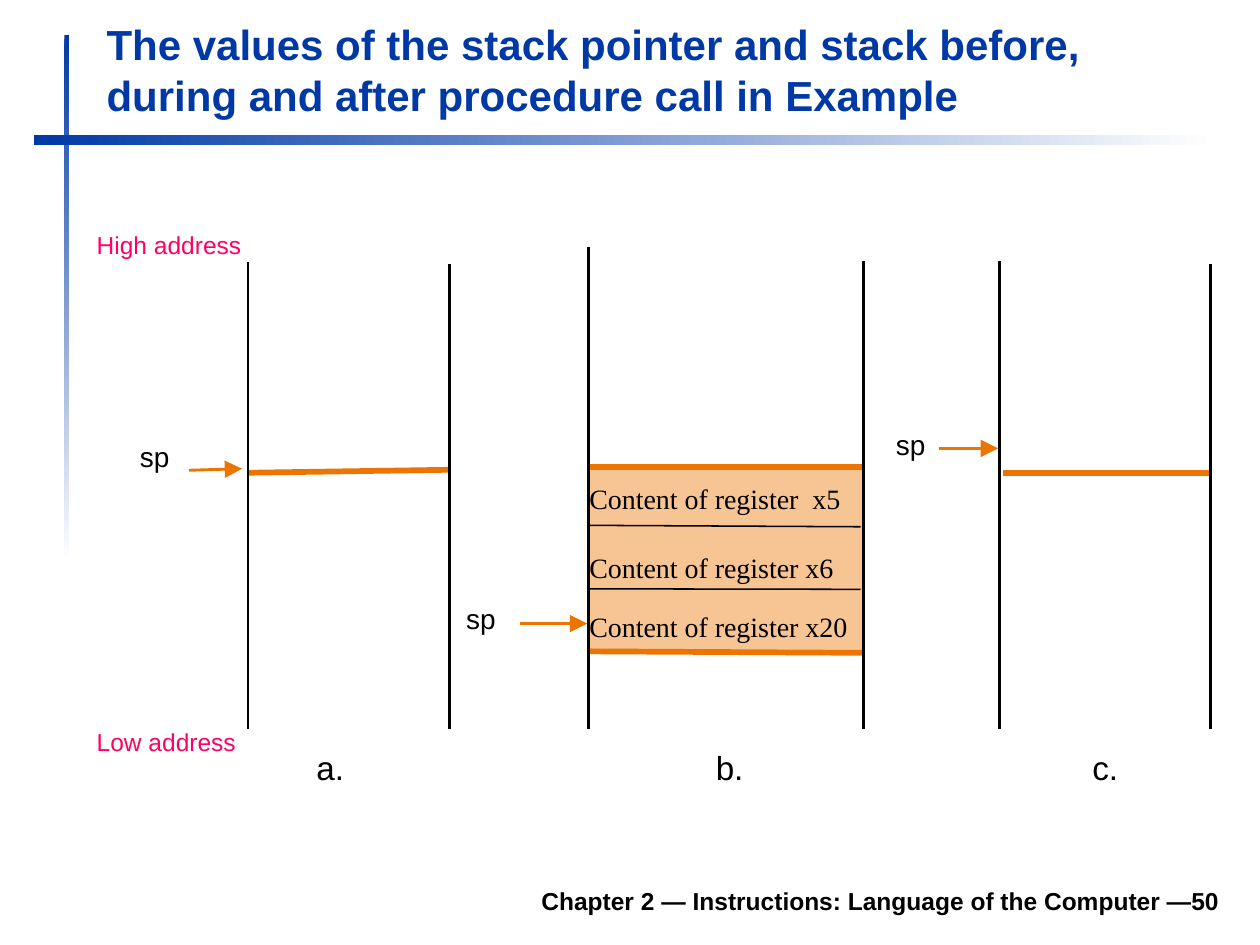
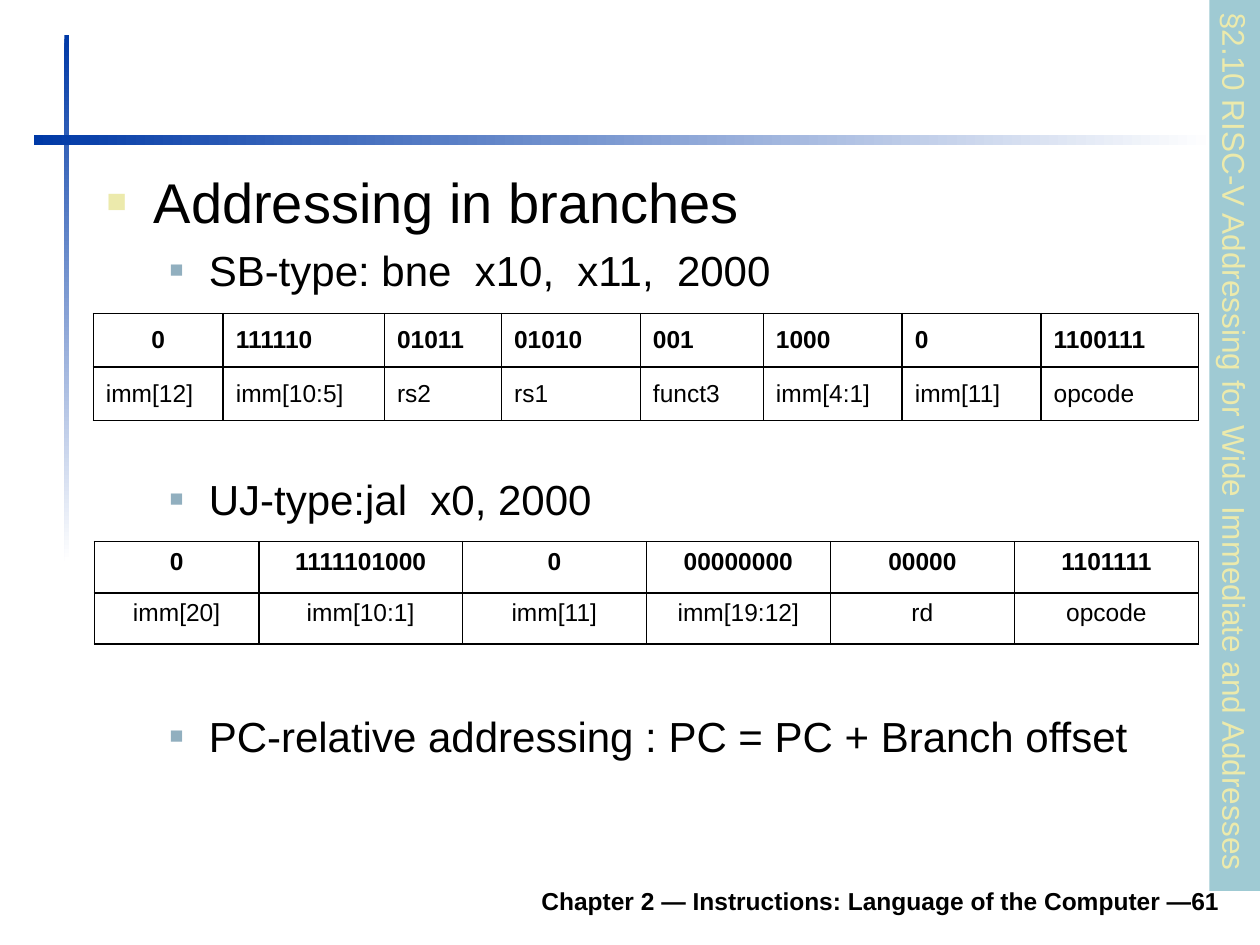
"""Build two slides: stack states around a call, and branch address formats."""
from dataclasses import dataclass

from lxml.etree import SubElement
from pptx import Presentation
from pptx.dml.color import RGBColor
from pptx.enum.shapes import MSO_CONNECTOR, MSO_SHAPE
from pptx.enum.text import MSO_ANCHOR, PP_ALIGN
from pptx.oxml.ns import qn
from pptx.util import Cm, Pt


@dataclass(frozen=True)
class Theme:
    sans: str = "Arial"
    serif: str = "Times New Roman"
    blue: str = "0039A6"
    white: str = "FFFFFF"
    black: str = "000000"
    orange: str = "EB7500"
    peach: str = "F7C594"
    pink: str = "FF0066"
    teal: str = "9FCAD3"
    cream: str = "ECEAAC"
    steel: str = "91AFBF"
    head: float = 32
    title: float = 24
    caption: float = 19
    side: float = 18
    label: float = 16
    small: float = 14
    thick: float = 3.25
    wall: float = 1.63
    thin: float = 0.88


T = Theme()

FOOTER = "Chapter 2 — Instructions: Language of the Computer —"
TITLE = ("The values of the stack pointer and stack before, "
         "during and after procedure call in Example")
BARS = [((1.3, 0.71, 0.1, 10.6), 270), ((0.69, 2.72, 23.8, 0.2), 0)]

FRAME = (11.86, 9.42, 5.54, 3.75)
WALLS = [(5, 5.28), (9.07, 5.33), (11.86, 4.98),
         (17.41, 5.26), (20.14, 5.26), (24.41, 5.33)]
FLOOR = 14.7
MARKS = [(5, 9.53, 9.07, 9.47), (11.86, 9.42, 17.4, 9.42),
         (11.86, 13.13, 17.4, 13.16), (20.22, 9.53, 24.41, 9.53)]
RULES = [(11.86, 10.59, 17.35, 10.62), (11.86, 11.87, 17.35, 11.88)]
ARROWS = [(3.81, 9.48, 4.88, 9.45), (10.49, 12.57, 11.84, 12.57),
          (18.92, 9.04, 20.12, 9.04)]
POINTERS = [(2.82, 8.86), (9.4, 12.12), (18.06, 8.61)]
SAVED = [("Content of register  x5", 9.58), ("Content of register x6", 10.97),
         ("Content of register x20", 12.17)]
CAPTIONS = [("a.", 6.38), ("b.", 14.43), ("c.", 22.02)]
ENDS = [("High address", 4.52), ("Low address", 14.53)]

SIDE = "§2.10 RISC-V Addressing for Wide Immediate and Addresses"
POINTS = [("Addressing in branches", 0, 0),
          ("SB-type: bne  x10,  x11,  2000", 1, 5.5),
          ("UJ-type:jal  x0, 2000", 1, 102),
          ("PC-relative addressing : PC = PC + Branch offset", 1, 106.7)]
LEVELS = [dict(size=T.head, bullet=(T.cream, 60, 0.95, 0.95)),
          dict(size=T.title, bullet=(T.steel, 55, 2.06, 0.79))]
BRANCH = dict(
    place=(1.88, 6.32), wide=[2.62, 3.25, 2.36, 2.8, 2.48, 2.8, 2.8, 3.17],
    high=1.08, anchor=MSO_ANCHOR.MIDDLE, middle=[(0, 0)],
    rows=[["0", "111110", "01011", "01010", "001", "1000", "0", "1100111"],
          ["imm[12]", "imm[10:5]", "rs2", "rs1", "funct3", "imm[4:1]",
           "imm[11]", "opcode"]])
JUMP = dict(
    place=(1.9, 10.92), wide=[3.32, 4.1] + [3.71] * 4,
    high=1.03, anchor=MSO_ANCHOR.TOP,
    middle=[(r, c) for r in range(2) for c in range(6)],
    rows=[["0", "1111101000", "0", "00000000", "00000", "1101111"],
          ["imm[20]", "imm[10:1]", "imm[11]", "imm[19:12]", "rd", "opcode"]])


def rgb(code):
    return RGBColor.from_string(code)


def write(frame, text, size=T.label, color=T.black, font=T.sans, bold=False,
          align=PP_ALIGN.LEFT, before=0, bullet=None):
    last = frame.paragraphs[-1]
    para = frame.add_paragraph() if last.runs else last
    para.alignment = align
    if before:
        para.space_before = Pt(before)
    if bullet:
        tint, scale, left, hang = bullet
        props = para._p.get_or_add_pPr()
        props.set("marL", str(Cm(left)))
        props.set("indent", str(-Cm(hang)))
        SubElement(SubElement(props, qn("a:buClr")), qn("a:srgbClr"), val=tint)
        SubElement(props, qn("a:buSzPct"), val=str(scale * 1000))
        SubElement(props, qn("a:buFont"), typeface=T.sans)
        SubElement(props, qn("a:buChar"), char="■")
    run = para.add_run()
    run.text = text
    run.font.size, run.font.name, run.font.bold = Pt(size), font, bold
    run.font.color.rgb = rgb(color)


def area(slide, box, anchor=MSO_ANCHOR.TOP, wrap=True, tight=False):
    frame = slide.shapes.add_textbox(*map(Cm, box)).text_frame
    frame.word_wrap, frame.vertical_anchor = wrap, anchor
    if tight:
        frame.margin_left = frame.margin_right = 0
        frame.margin_top = frame.margin_bottom = 0
    return frame


def block(slide, box, color=None):
    shape = slide.shapes.add_shape(MSO_SHAPE.RECTANGLE, *map(Cm, box))
    shape.shadow.inherit = False
    shape.line.fill.background()
    if color:
        shape.fill.solid()
        shape.fill.fore_color.rgb = rgb(color)
    return shape


def line(slide, ends, color, width, arrow=False):
    link = slide.shapes.add_connector(MSO_CONNECTOR.STRAIGHT, *map(Cm, ends))
    link.line.color.rgb, link.line.width = rgb(color), Pt(width)
    SubElement(link._element.spPr, qn("a:effectLst"))
    if arrow:
        SubElement(link.line._get_or_add_ln(), qn("a:tailEnd"),
                   type="triangle", w="lg", len="lg")


def start(deck, number):
    slide = deck.slides.add_slide(deck.slide_layouts[6])
    for box, angle in BARS:
        fill = block(slide, box).fill
        fill.gradient()
        fill.gradient_angle = angle
        for stop, color in zip(fill.gradient_stops, (T.blue, T.white)):
            stop.color.rgb = rgb(color)
    foot = area(slide, (7.32, 17.65, 17.52, 1.02), MSO_ANCHOR.MIDDLE)
    write(foot, f"{FOOTER}{number}", size=T.small, bold=True,
          align=PP_ALIGN.RIGHT)
    return slide


def grid(slide, place, wide, high, anchor, middle, rows):
    size = (sum(wide), high * len(rows))
    table = slide.shapes.add_table(len(rows), len(wide),
                                   *map(Cm, place + size)).table
    for col, width in zip(table.columns, wide):
        col.width = Cm(width)
    for r, row in enumerate(rows):
        table.rows[r].height = Cm(high)
        for c, text in enumerate(row):
            cell = table.cell(r, c)
            cell.vertical_anchor = anchor
            props = cell._tc.get_or_add_tcPr()
            for side in "LRTB":
                edge = SubElement(props, qn(f"a:ln{side}"), w=str(Pt(1)))
                fill = SubElement(edge, qn("a:solidFill"))
                SubElement(fill, qn("a:srgbClr"), val=T.black)
            cell.fill.solid()
            cell.fill.fore_color.rgb = rgb(T.white)
            align = PP_ALIGN.CENTER if (r, c) in middle else PP_ALIGN.LEFT
            write(cell.text_frame, text, size=T.small, bold=r == 0,
                  align=align)


def stacks(deck):
    slide = start(deck, 50)
    write(area(slide, (1.9, 0.23, 22.94, 2.31), MSO_ANCHOR.BOTTOM), TITLE,
          size=T.title, color=T.blue, bold=True)
    block(slide, FRAME, T.peach)
    for ends in MARKS:
        line(slide, ends, T.orange, T.thick)
    for ends in RULES:
        line(slide, ends, T.black, T.thin)
    for x, top in WALLS:
        line(slide, (x, top, x, FLOOR), T.black, T.wall)
    for ends in ARROWS:
        line(slide, ends, T.orange, T.wall, arrow=True)
    for spot in POINTERS:
        write(area(slide, spot + (0.61, 0.69), wrap=False, tight=True), "sp")
    for text, top in SAVED:
        write(area(slide, (11.63, top, 6.38, 0.94)), text, font=T.serif)
    for text, left in CAPTIONS:
        write(area(slide, (left, 15.06, 0.56, 0.81), wrap=False, tight=True),
              text, size=T.caption)
    for text, top in ENDS:
        write(area(slide, (1.7, top, 3.6, 0.84), wrap=False), text,
              size=T.small, color=T.pink)


def formats(deck):
    slide = start(deck, 61)
    band = block(slide, (15.91, 8.47, 17.96, 1.02), T.teal)
    band.rotation = 90
    band.text_frame.vertical_anchor = MSO_ANCHOR.TOP
    write(band.text_frame, SIDE, size=T.side, color=T.cream)
    body = area(slide, (1.9, 3.25, 22.99, 14.07))
    for text, level, before in POINTS:
        write(body, text, before=before, **LEVELS[level])
    for table in (BRANCH, JUMP):
        grid(slide, **table)


def main():
    deck = Presentation()
    deck.slide_width, deck.slide_height = Cm(25.4), Cm(19.05)
    stacks(deck)
    formats(deck)
    deck.save("out.pptx")


if __name__ == "__main__":
    main()
